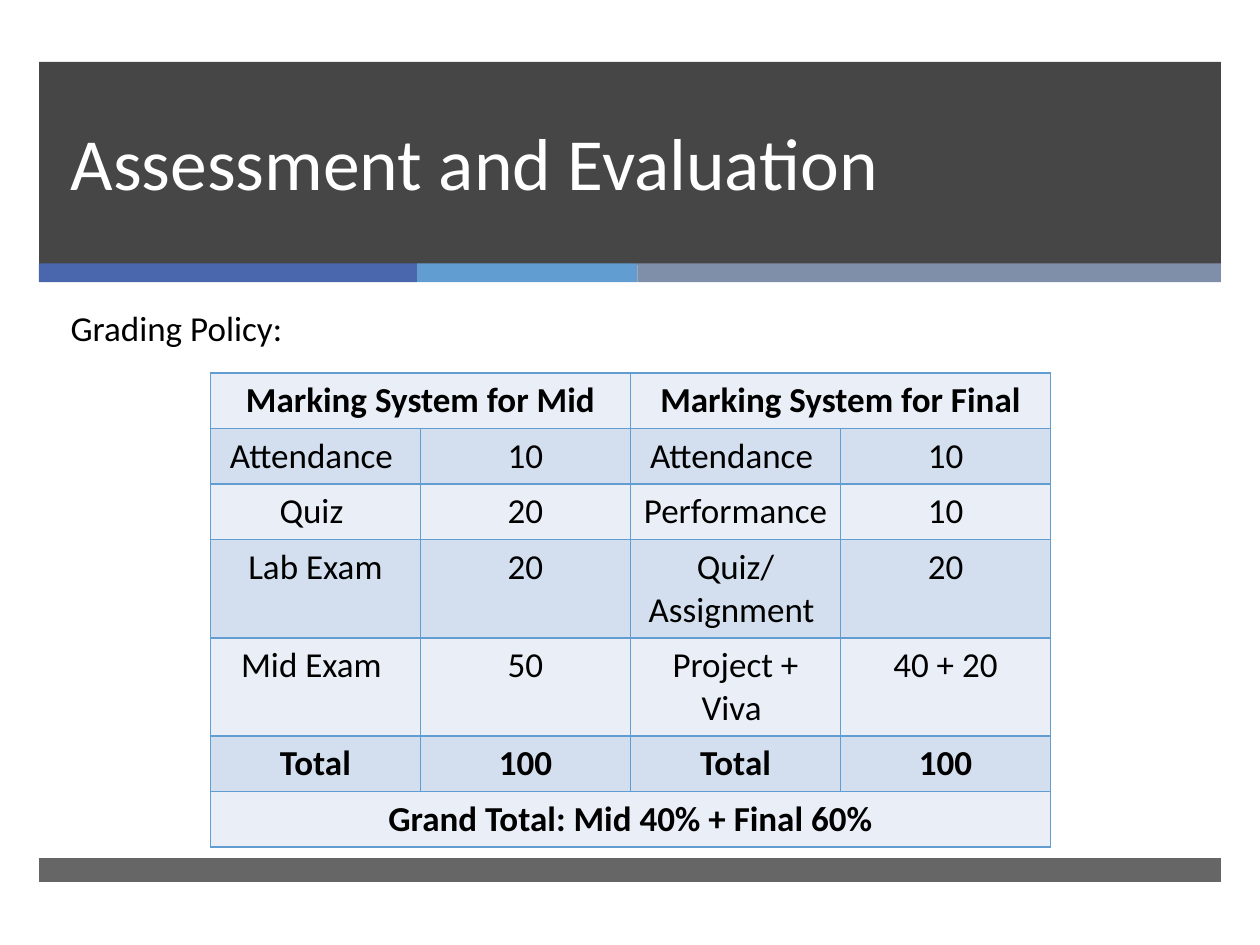
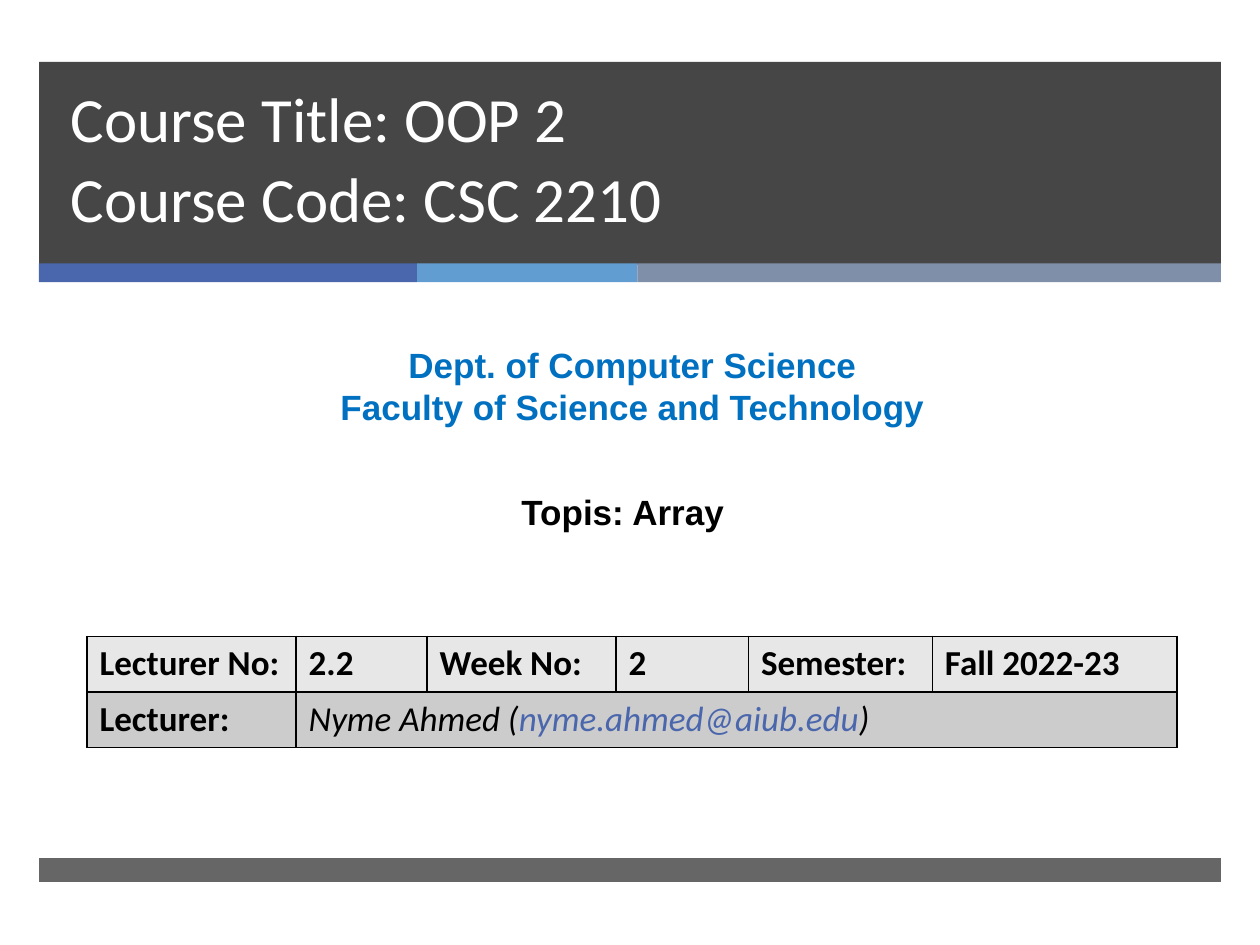
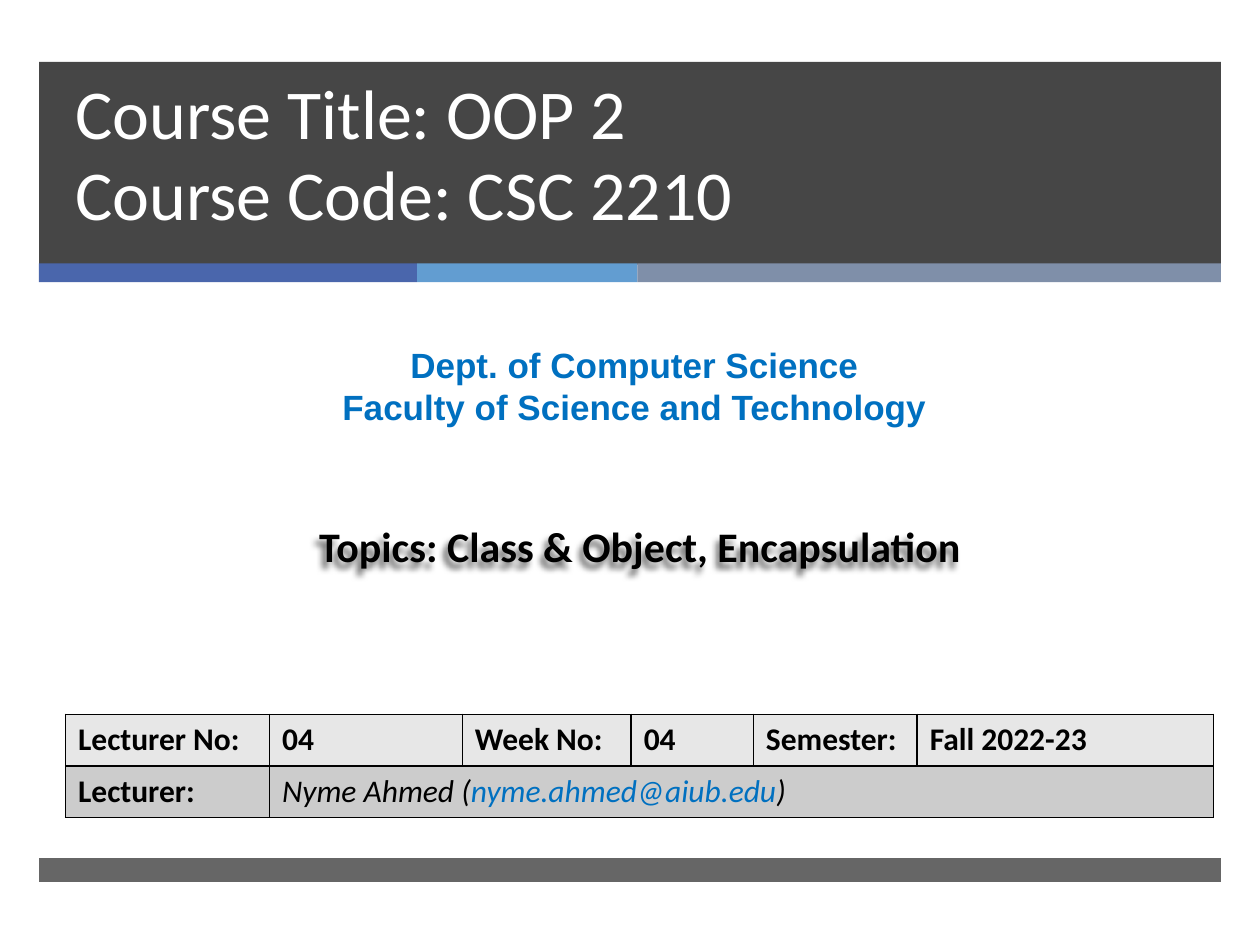
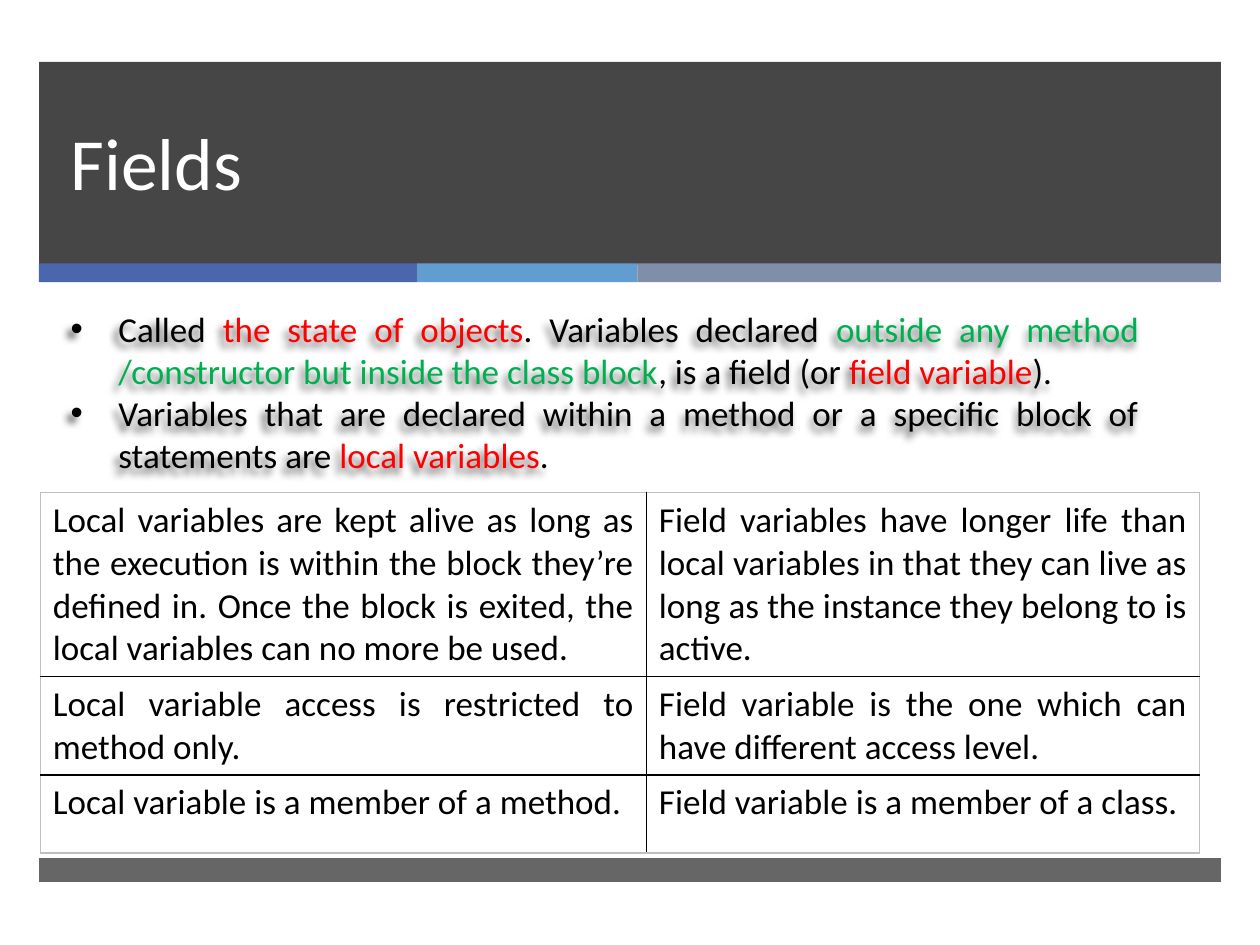
"""Builds four slides of an object-oriented programming course."""
from dataclasses import dataclass
from itertools import accumulate

from lxml.etree import SubElement
from pptx import Presentation
from pptx.dml.color import RGBColor
from pptx.enum.shapes import MSO_SHAPE as Shape
from pptx.enum.text import MSO_ANCHOR as Anchor, MSO_AUTO_SIZE as AutoSize, PP_ALIGN as Align
from pptx.oxml import parse_xml
from pptx.oxml.ns import nsdecls, qn
from pptx.util import Emu, Inches, Pt


@dataclass(frozen=True)
class Theme:
    """Colours, fonts and type sizes of the deck."""

    band: str = "262626"
    stripes: tuple = ("4A66AC", "629DD1", "7F8FA9")
    link: str = "4A66AC"
    accent: str = "0070C0"
    ink: str = "000000"
    paper: str = "FFFFFF"
    red: str = "FF0000"
    green: str = "00B050"
    edge: str = "BFBFBF"
    grading_line: str = "629DD1"
    grading_fills: tuple = ("EAEFF7", "D3DFEE")
    lecture_fills: tuple = ("E7E7E7", "CCCCCC")
    font: str = "Calibri"
    heading_font: str = "Arial"
    title_size: int = 42
    topic_size: int = 24
    text_size: int = 20
    small_size: int = 18
    title_leading: int = 46


class Deck:
    """Holds the theme and the current page on a grid of 100 columns by 75 rows."""

    def __init__(self, theme):
        """Opens a blank deck."""
        self.theme = theme
        self.deck = Presentation()
        self.deck.slide_width, self.deck.slide_height = Inches(10), Inches(7.5)
        self.column = self.deck.slide_width / 100
        self.row = self.deck.slide_height / 75
        self.layout = self.deck.slide_layouts[0]
        self.page = None

    def area(self, left, top, width, height):
        """Turns columns and rows into lengths."""
        units = (self.column, self.row, self.column, self.row)
        return [Emu(round(n * unit)) for n, unit in zip((left, top, width, height), units)]

    def start_page(self, title, title_area, size=None):
        """Adds a page with its title."""
        self.page = self.deck.slides.add_slide(self.layout)
        if len(self.deck.slides) == 1:
            self.decorate_layout()
        self.placeholder(0, title_area, [title], Anchor.BOTTOM,
                         {"line_spacing": Pt(self.theme.title_leading)},
                         color=self.theme.paper, size=size or self.theme.title_size)

    def decorate_layout(self):
        """Moves the shared bands behind the layout's title."""
        for spare in list(self.layout.placeholders)[2:]:
            spare.element.getparent().remove(spare.element)
        widths = (30, 17.5, 46.3)
        lefts = accumulate(widths[:-1], initial=3.1)
        bands = [self.band((3.1, 4.9, 93.8, 16.1), self.theme.band, 85)]
        bands += [self.band((left, 20.9, width, 1.5), color)
                  for left, width, color in zip(lefts, widths, self.theme.stripes)]
        bands.append(self.band((3.1, 68.1, 93.8, 1.9), self.theme.band, 70))
        for band in bands:
            self.layout.placeholders[0].element.addprevious(band.element)

    def band(self, area, color, opacity=100):
        """Draws a plain filled rectangle."""
        band = self.page.shapes.add_shape(Shape.RECTANGLE, *self.area(*area))
        band.shadow.inherit = False
        band.line.fill.background()
        band.fill.solid()
        band.fill.fore_color.rgb = RGBColor.from_string(color)
        if opacity < 100:
            shade = next(band.element.iter(qn("a:srgbClr")))
            SubElement(shade, qn("a:alpha"), val=str(opacity * 1000))
        return band

    def set_text(self, frame, paragraphs, para_format=None, **font_format):
        """Fills a text frame with paragraphs made of plain text or spans."""
        shared = {"name": self.theme.font, "size": self.theme.text_size,
                  "color": self.theme.ink, "bold": False, **font_format}
        layout = {"alignment": Align.LEFT, "space_before": Pt(0), **(para_format or {})}
        for index, spans in enumerate(paragraphs):
            para = frame.add_paragraph() if index else frame.paragraphs[0]
            for name, value in layout.items():
                setattr(para, name, value)
            for text, changes in [(spans, {})] if isinstance(spans, str) else spans:
                for number, line in enumerate(text.split("\n")):
                    if number:
                        para.add_line_break()
                    self.add_span(para, line, {**shared, **changes})

    def add_span(self, para, text, values):
        """Adds one formatted run."""
        span = para.add_run()
        span.text = text
        values = dict(values)
        span.font.color.rgb = RGBColor.from_string(values.pop("color"))
        values["size"] = Pt(values["size"])
        for name, value in values.items():
            setattr(span.font, name, value)

    def settle(self, box, paragraphs, anchor, para_format, font_format):
        """Sets up a box and its text."""
        settings = {"word_wrap": True, "auto_size": AutoSize.NONE, "vertical_anchor": anchor}
        for name, value in settings.items():
            setattr(box.text_frame, name, value)
        self.set_text(box.text_frame, paragraphs, para_format, **font_format)
        return box

    def placeholder(self, index, area, paragraphs, anchor=Anchor.TOP, para_format=None,
                    **font_format):
        """Moves and fills a placeholder of the layout."""
        box = self.page.placeholders[index]
        box.left, box.top, box.width, box.height = self.area(*area)
        return self.settle(box, paragraphs, anchor, para_format, font_format)

    def text(self, area, paragraphs, anchor=Anchor.TOP, para_format=None, **font_format):
        """Adds a text box."""
        box = self.page.shapes.add_textbox(*self.area(*area))
        return self.settle(box, paragraphs, anchor, para_format, font_format)

    def bullets(self, area, paragraphs):
        """Fills the body placeholder with a justified bullet list."""
        box = self.placeholder(1, area, paragraphs, para_format={"alignment": Align.JUSTIFY})
        box.text_frame.margin_top = 0
        indent = Inches(0.38)
        for settings in box.element.iter(qn("a:pPr")):
            settings.set("marL", str(indent))
            settings.set("indent", str(-indent))
            SubElement(settings, qn("a:buFont"), typeface=self.theme.heading_font)
            SubElement(settings, qn("a:buChar"), char="•")
        return box

    def cast_shadow(self, box):
        """Gives the text of an unfilled box a soft shadow."""
        box.fill.background()
        box.element.spPr.append(parse_xml(
            f'<a:effectLst {nsdecls("a")}><a:outerShdw blurRad="50800" dist="50800" '
            f'dir="8100000" algn="tr" rotWithShape="0"><a:srgbClr val="{self.theme.ink}">'
            '<a:alpha val="60000"/></a:srgbClr></a:outerShdw></a:effectLst>'))

    def drop_body(self):
        """Removes the unused body placeholder."""
        body = self.page.placeholders[1].element
        body.getparent().remove(body)

    def table(self, corner, widths, heights, rows, line, fills=(None,), outer=None,
              para_format=None, **font_format):
        """Adds a table where None continues the cell to its left."""
        frame = self.page.shapes.add_table(
            len(rows), len(widths), *self.area(*corner, sum(widths), sum(heights)))
        table = frame.table
        table.first_row = table.horz_banding = False
        for column, width in zip(table.columns, widths):
            column.width = round(width * self.column)
        for row, height in zip(table.rows, heights):
            row.height = round(height * self.row)
        for r, contents in enumerate(rows):
            origin = 0
            for c, content in enumerate(contents):
                cell = table.cell(r, c)
                self.fill_cell(cell, fills[r % len(fills)])
                if content is not None:
                    origin = c
                    paragraphs = [content] if isinstance(content, str) else content
                    self.set_text(cell.text_frame, paragraphs, para_format, **font_format)
                elif c + 1 == len(contents) or contents[c + 1] is not None:
                    table.cell(r, origin).merge(cell)
        self.rule_cells(frame, len(rows), len(widths), line, outer or line)

    def fill_cell(self, cell, color):
        """Fills a cell or leaves it clear."""
        if color is None:
            cell.fill.background()
        else:
            cell.fill.solid()
            cell.fill.fore_color.rgb = RGBColor.from_string(color)

    def rule_cells(self, frame, row_count, column_count, inner, outer):
        """Draws one-point borders, with their own colour around the table."""
        for index, cell in enumerate(frame.element.iter(qn("a:tc"))):
            r, c = divmod(index, column_count)
            at_edge = {"L": c == 0, "R": c == column_count - 1,
                       "T": r == 0, "B": r == row_count - 1}
            for place, (side, is_outer) in enumerate(at_edge.items()):
                cell.find(qn("a:tcPr")).insert(place, parse_xml(
                    f'<a:ln{side} {nsdecls("a")} w="{Pt(1)}"><a:solidFill>'
                    f'<a:srgbClr val="{outer if is_outer else inner}"/>'
                    f'</a:solidFill></a:ln{side}>'))


def strong(text):
    """Returns a cell of bold text."""
    return [[(text, {"bold": True})]]


def grading_page(deck):
    """Builds the page on grading."""
    theme = deck.theme
    deck.start_page("Assessment and Evaluation", (4.6, 4.9, 85.4, 11.9))
    deck.placeholder(1, (4.6, 23.8, 38.5, 5.8), ["Grading Policy:"])
    rows = [
        [strong("Marking System for Mid"), None, strong("Marking System for Final"), None],
        ["Attendance ", "10", "Attendance ", "10"],
        ["Quiz ", "20", "Performance ", "10"],
        ["Lab Exam", "20", ["Quiz/", "Assignment "], "20"],
        ["Mid Exam ", "50", "Project + Viva ", "40 + 20"],
        [strong(text) for text in ("Total", "100") * 2],
        [strong("Grand Total: Mid 40% + Final 60%"), None, None, None],
    ]
    deck.table((16.7, 29.6), [16.67] * 4, [4.1] * 7, rows, theme.grading_line,
               theme.grading_fills, para_format={"alignment": Align.CENTER})


def course_page(deck, title_area, title_size, heading_area, corner, widths, numbers,
                link, size):
    """Builds the shared parts of a lecture's opening page."""
    theme = deck.theme
    deck.start_page("Course Title: OOP 2\nCourse Code: CSC 2210", title_area, title_size)
    deck.drop_body()
    deck.text(heading_area, ["Dept. of Computer Science", "Faculty of Science and Technology"],
              para_format={"alignment": Align.CENTER},
              name=theme.heading_font, color=theme.accent, bold=True)
    lecture, week = numbers
    plain = {"bold": False, "italic": True}
    lecturer = [[("Nyme Ahmed (", plain), ("nyme.ahmed@aiub.edu", {**plain, "color": link}),
                 (")", plain)]]
    rows = [["Lecturer No:", lecture, "Week No:", week, "Semester:", "Fall 2022-23"],
            ["Lecturer:", lecturer] + [None] * 4]
    deck.table(corner, widths, [4.1] * 2, rows, theme.ink, theme.lecture_fills,
               size=size, bold=True)


def array_page(deck):
    """Builds the opening page on arrays."""
    theme = deck.theme
    course_page(deck, (4.6, 7.3, 85.4, 11.9), 36, (6.9, 26.8, 86.6, 11.1), (6.9, 50.5),
                [16.6, 10.4, 15, 10.5, 14.6, 19.4], ("2.2", "2"), theme.link,
                theme.text_size)
    deck.text((40.4, 38.4, 19.6, 4.4), ["Topis: Array"],
              para_format={"alignment": Align.JUSTIFY}, name=theme.heading_font, bold=True)


def class_page(deck):
    """Builds the opening page on classes."""
    theme = deck.theme
    course_page(deck, (5, 7.2, 85.4, 11.9), 40, (1, 26.8, 98.7, 7.7), (5.2, 56.7),
                [16.2, 15.3, 13.4, 9.7, 13, 23.5], ("04", "04"), theme.accent,
                theme.small_size)
    topic = deck.text((12.1, 40.5, 77.4, 5.7), ["Topics: Class & Object, Encapsulation"],
                      Anchor.MIDDLE, {"alignment": Align.CENTER},
                      size=theme.topic_size, bold=True)
    deck.cast_shadow(topic)


def fields_page(deck):
    """Builds the page on fields and local variables."""
    theme = deck.theme
    red, green = {"color": theme.red}, {"color": theme.green}
    deck.start_page("Fields", (4.6, 4.9, 85.4, 11.9))
    points = deck.bullets((4.6, 24.4, 86.8, 17.3), [
        [("Called ", {}), ("the state of objects", red), (". Variables declared ", {}),
         ("outside any method /constructor but inside the class block", green),
         (", is a field (or ", {}), ("field variable", red), (").", {})],
        [("Variables that are declared within a method or a specific block of "
          "statements are ", {}), ("local variables", red), (".", {})],
    ])
    deck.cast_shadow(points)
    rows = [
        ["Local variables are kept alive as long as the execution is within the block "
         "they’re defined in. Once the block is exited, the local variables can no more "
         "be used.",
         "Field variables have longer life than local variables in that they can live as "
         "long as the instance they belong to is active. "],
        ["Local variable access is restricted to method only.",
         "Field variable is the one which can have different access level."],
        ["Local variable is a member of a method.", "Field variable is a member of a class."],
    ]
    deck.table((3.2, 39.1), [48.1, 43.9], [13.4, 7.2, 6.2], rows, theme.ink,
               outer=theme.edge, para_format={"alignment": Align.JUSTIFY})


def main():
    """Builds and saves the deck."""
    deck = Deck(Theme())
    for build in (grading_page, array_page, class_page, fields_page):
        build(deck)
    deck.deck.save("out.pptx")


if __name__ == "__main__":
    main()
